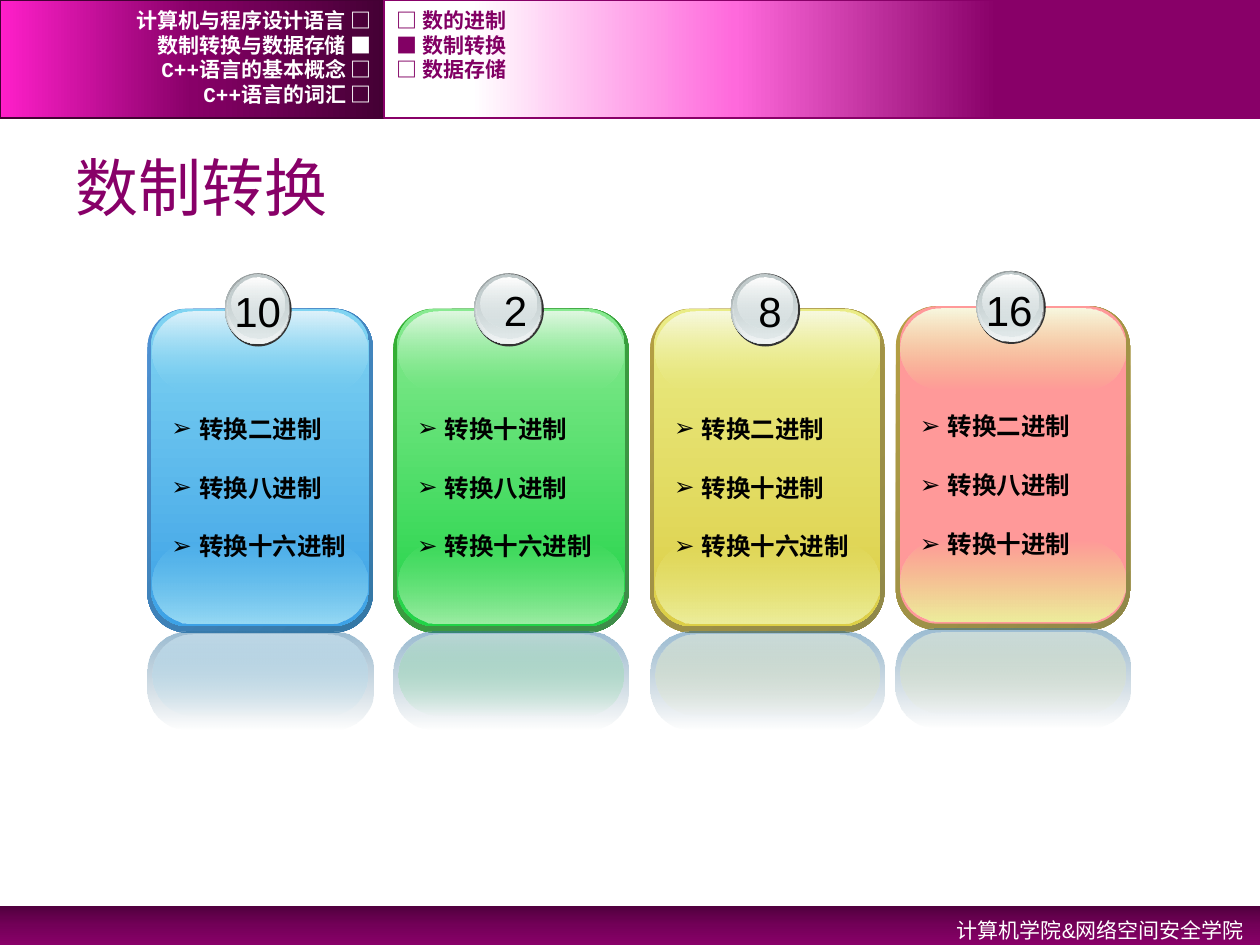
from dataclasses import dataclass

from lxml import etree
from pptx import Presentation
from pptx import util as u
from pptx.dml.color import RGBColor
from pptx.enum import shapes, text
from pptx.oxml import ns


@dataclass(frozen=True)
class Theme:
    plum: str = "880068"
    dark_plum: str = "440034"
    topic: str = "820064"
    white: str = "FFFFFF"
    black: str = "000000"
    ball_shadow: str = "333333"
    footer_fill: tuple = ((0, "51003E"), (50, "730058"), (100, "880068"))
    chapter_fill: tuple = ((0, "440034"), (50, "880068"), (100, "FF1FCA"))
    topic_fill: tuple = ((30, "880068"), (60, "FF69DC"), (90, "FFFFFF"))
    reflection: tuple = ((0, "3477A4", 50), (100, "255575", 0))
    sans: str = "Arial"
    list_font: str = "DejaVu Sans"
    nav_font: str = "Courier New"
    title_size: int = 36
    number_size: int = 24
    list_size: int = 14
    small_size: int = 12


@dataclass(frozen=True)
class Palette:
    rim: tuple
    face: tuple
    glow: str
    base: str
    highlight: str
    mirror: tuple


@dataclass(frozen=True)
class Card:
    left: float
    top: float
    width: float
    palette: Palette
    number: str
    number_box: tuple
    conversions: tuple


THEME = Theme()
BLUE = Palette(("4E91D4", "3477A4"), ("80D4F2", "3CA1E6"), "80D4F2", "97DAF4",
               "DFF2FB", ("DFF2FB", "80D4F2"))
GREEN = Palette(("34B034", "3F8B4A"), ("88EA91", "21D347"), "88EA91", "9DEDA4",
                "E0F8E2", ("D6F1D8", "21D347"))
YELLOW = Palette(("B59F43", "8F8849"), ("EAEC86", "DCCE46"), "EAEC86", "EDEE9C",
                 "F8F9E0", ("F8F9E0", "EAEC86"))
PINK = Palette(("B59F43", "8F8849"), ("FF9999", "FF9999"), "EAEC86", "EDEE9C",
               "F8F9E0", ("F8F9E0", "EAEC86"))

CARDS = (
    Card(1.17, 2.45, 1.79, BLUE, "10", (1.74, 2.22, 0.61, 0.5),
         ("转换二进制", "转换八进制", "转换十六进制")),
    Card(3.12, 2.45, 1.87, GREEN, "2", (3.9, 2.21, 0.31, 0.5),
         ("转换十进制", "转换八进制", "转换十六进制")),
    Card(5.16, 2.45, 1.86, YELLOW, "8", (5.92, 2.22, 0.3, 0.5),
         ("转换二进制", "转换十进制", "转换十六进制")),
    Card(7.11, 2.43, 1.86, PINK, "16", (7.71, 2.21, 0.6, 0.5),
         ("转换二进制", "转换八进制", "转换十进制")),
)
BALL_DESIGN_WIDTH = 1.86
BALL_LAYERS = (
    (0.64, -0.28, 0.55, 0.58, THEME.ball_shadow),
    (0.64, -0.28, 0.53, 0.56, ((0, "99A1A2"), (100, "D6E1E2"))),
    (0.65, -0.27, 0.52, 0.55, ((0, "D6E1E2", 0), (100, "F2F5F5"))),
    (0.66, -0.27, 0.5, 0.51, ((0, "C1CBCC"), (100, "D6E1E2", 48))),
    (0.69, -0.25, 0.44, 0.41, ((0, "FFFFFF"), (100, "D6E1E2", 38))),
)
CHAPTERS = ("计算机与程序设计语言 □", "数制转换与数据存储 ■",
            "C++语言的基本概念 □", "C++语言的词汇 □")
TOPICS = ("□ 数的进制", "■ 数制转换", "□ 数据存储")


def paint(shape, fill, angle):
    if isinstance(fill, str):
        shape.fill.solid()
        shape.fill.fore_color.rgb = RGBColor.from_string(fill)
        return
    shape.fill.gradient()
    shape.fill.gradient_angle = -angle % 360
    stops = shape.element.spPr.find(".//" + ns.qn("a:gsLst"))
    for old_stop in list(stops):
        stops.remove(old_stop)
    for position, color, *opacity in fill:
        stop = etree.SubElement(stops, ns.qn("a:gs"), pos=str(position * 1000))
        tint = etree.SubElement(stop, ns.qn("a:srgbClr"), val=color)
        for percent in opacity:
            etree.SubElement(tint, ns.qn("a:alpha"), val=str(percent * 1000))


def add_panel(parent, kind, box, fill, angle=90, corner=None, border=None):
    panel = parent.add_shape(kind, *map(u.Inches, box))
    panel.shadow.inherit = False
    if corner is not None:
        panel.adjustments[0] = corner
    paint(panel, fill, angle)
    if border:
        panel.line.color.rgb = RGBColor.from_string(border)
        panel.line.width = u.Pt(1)
    else:
        panel.line.fill.background()


def style(paragraph, font, size, color, bold=False, align=text.PP_ALIGN.LEFT):
    paragraph.alignment = align
    paragraph.font.name = font
    paragraph.font.size = u.Pt(size)
    paragraph.font.bold = bold
    paragraph.font.color.rgb = RGBColor.from_string(color)


def add_label(slide, box, words, anchor=text.MSO_ANCHOR.TOP, spacing=None, **look):
    frame = slide.shapes.add_textbox(*map(u.Inches, box)).text_frame
    frame.word_wrap = True
    frame.vertical_anchor = anchor
    frame.text = words
    if spacing:
        frame.paragraphs[0].line_spacing = spacing
    style(frame.paragraphs[0], **look)


def place(placeholder, box):
    placeholder.left, placeholder.top, placeholder.width, placeholder.height = map(u.Inches, box)


def fill_title(slide):
    title = slide.shapes.title
    place(title, (0.5, 1.09, 9, 0.78))
    title.text_frame.text = "数制转换"
    title.text_frame.vertical_anchor = text.MSO_ANCHOR.MIDDLE
    style(title.text_frame.paragraphs[0], THEME.sans, THEME.title_size, THEME.plum)


def fill_list(slide, conversions, card):
    place(conversions, (card.left + 0.09, card.top + 0.55, card.width - 0.09, 1.44))
    slide.shapes.element.append(conversions.element)
    frame = conversions.text_frame
    frame.text = "\n".join(card.conversions)
    frame.vertical_anchor = text.MSO_ANCHOR.TOP
    frame.auto_size = text.MSO_AUTO_SIZE.SHAPE_TO_FIT_TEXT
    for paragraph in frame.paragraphs:
        paragraph.line_spacing = 2.0
        paragraph.space_before = u.Pt(0)
        properties = paragraph._p.get_or_add_pPr()
        properties.set("marL", str(u.Inches(0.22)))
        properties.set("indent", str(u.Inches(-0.22)))
        etree.SubElement(properties, ns.qn("a:buChar"), char="➢")
        style(paragraph, THEME.list_font, THEME.list_size, THEME.black, bold=True)


def add_card(slide, card):
    group = slide.shapes.add_group_shape().shapes
    colors = card.palette
    left, top, width = card.left, card.top, card.width
    layers = (
        (0, 0, 2.57, 0.175, tuple(zip((0, 100), colors.rim)), 45),
        (0.03, 0, 2.52, 0.167, tuple(zip((0, 100), colors.face)), 90),
        (0.04, 1.86, 0.64, 0.5, ((0, colors.glow, 0), (100, colors.base)), 90),
        (0.04, 0.02, 0.64, 0.5, ((0, colors.highlight), (100, colors.glow, 0)), 90),
        (0, 2.56, 0.78, 0.404, THEME.reflection, 90),
        (0.04, 2.59, 0.64, 0.5,
         ((0, colors.mirror[0], 50), (100, colors.mirror[1], 0)), 90),
    )
    for inset, drop, height, corner, fill, angle in layers:
        add_panel(group, shapes.MSO_SHAPE.ROUNDED_RECTANGLE,
                  (left + inset, top + drop, width - 2 * inset, height),
                  fill, angle, corner)
    scale = width / BALL_DESIGN_WIDTH
    for offset, drop, ball_width, height, fill in BALL_LAYERS:
        add_panel(group, shapes.MSO_SHAPE.OVAL,
                  (left + offset * scale, top + drop, ball_width * scale, height), fill)
    add_label(slide, card.number_box, card.number, font=THEME.sans,
              size=THEME.number_size, color=THEME.black, align=text.PP_ALIGN.CENTER)


def add_navigation(slide, entries, left, width, color, align):
    for row, entry in enumerate(entries):
        add_label(slide, (left, 0.06 + 0.195 * row, width, 0.2), entry,
                  anchor=text.MSO_ANCHOR.MIDDLE, font=THEME.nav_font,
                  size=THEME.small_size, color=color, bold=True, align=align)


def add_bands(slide):
    rectangle = shapes.MSO_SHAPE.RECTANGLE
    add_panel(slide.shapes, rectangle, (0, 7.19, 10, 0.31), THEME.footer_fill)
    add_panel(slide.shapes, rectangle, (0, 0, 3.05, 0.94), THEME.chapter_fill, 180,
              border=THEME.dark_plum)
    add_panel(slide.shapes, rectangle, (3.05, 0, 6.95, 0.94), THEME.topic_fill, 180,
              border=THEME.plum)
    add_label(slide, (6.42, 7.19, 3.55, 0.32), "计算机学院&网络空间安全学院", spacing=1.2,
              font=THEME.sans, size=THEME.small_size, color=THEME.white,
              align=text.PP_ALIGN.RIGHT)


def main():
    deck = Presentation()
    deck.slide_width, deck.slide_height = u.Inches(10), u.Inches(7.5)
    slide = deck.slides.add_slide(deck.slide_layouts.get_by_name("Comparison"))
    lists = list(slide.placeholders)[1:]
    add_bands(slide)
    fill_title(slide)
    for conversions, card in zip(lists, CARDS):
        add_card(slide, card)
        fill_list(slide, conversions, card)
    add_navigation(slide, CHAPTERS, 0, 3.05, THEME.white, text.PP_ALIGN.RIGHT)
    add_navigation(slide, TOPICS, 3.05, 6.02, THEME.topic, text.PP_ALIGN.LEFT)
    deck.save("out.pptx")


if __name__ == "__main__":
    main()
